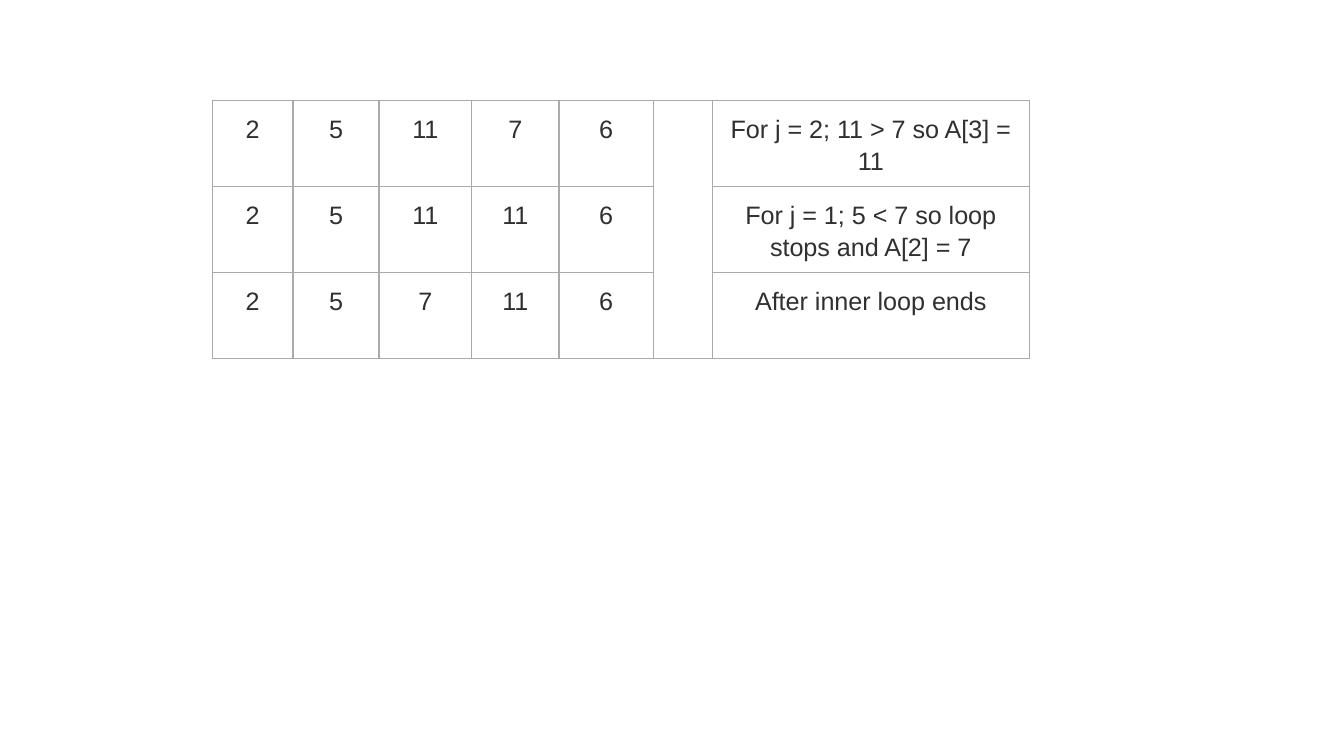
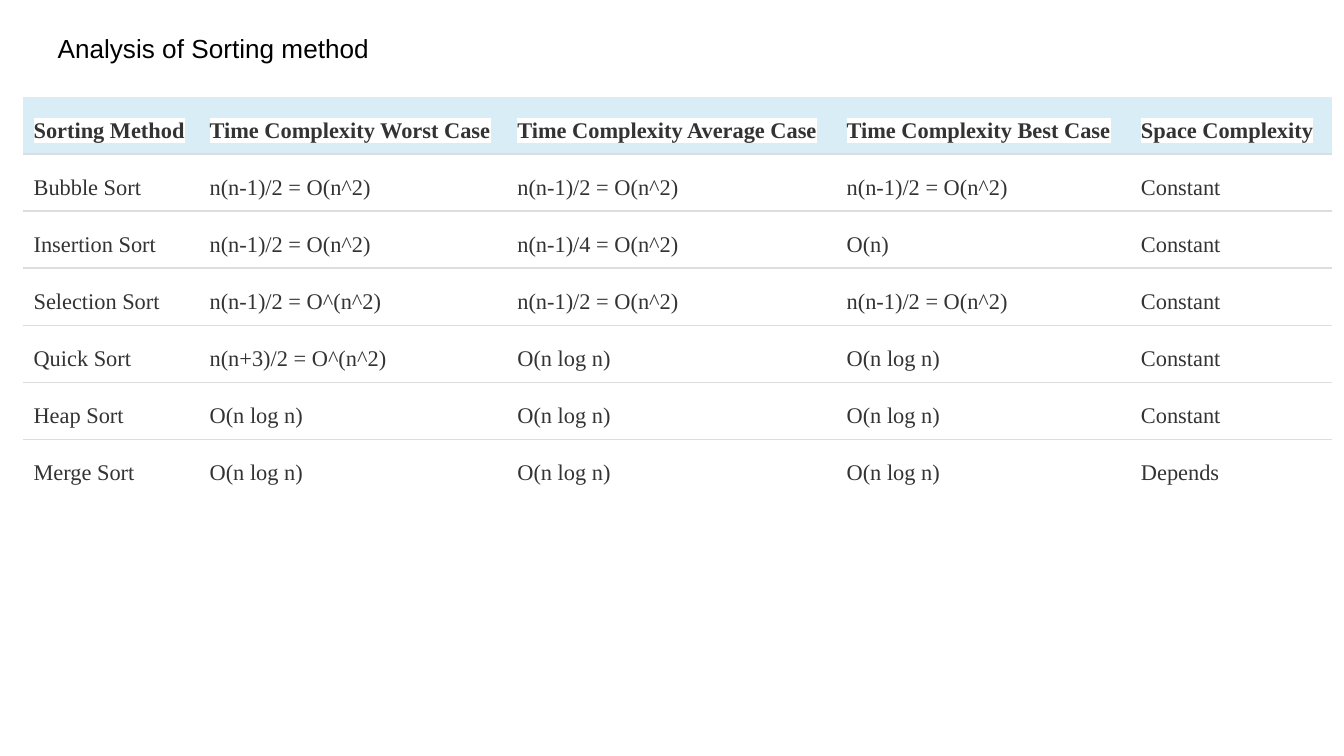
"""Build two slides on sorting: an insertion step trace and a complexity table."""
from pptx import Presentation
from pptx.dml.color import RGBColor
from pptx.enum.text import MSO_ANCHOR, PP_ALIGN
from pptx.oxml import parse_xml
from pptx.oxml.ns import nsdecls, qn
from pptx.util import Inches, Pt

COLORS = {
    "white": "FFFFFF", "black": "000000", "trace_text": "303030", "trace_line": "AAAAAA",
    "text": "333333", "line": "DDDDDD", "header": "D9EDF7",
}

TRACE_COLUMNS = [0.6, 0.64, 0.69, 0.65, 0.7, 0.44, 2.36]
TRACE_GAP = 5
TRACE_ROWS = [
    ("2", "5", "11", "7", "6", "", "For j = 2; 11 > 7 so A[3] = 11"),
    ("2", "5", "11", "11", "6", "", "For j = 1; 5 < 7 so loop stops and A[2] = 7"),
    ("2", "5", "7", "11", "6", "", "After inner loop ends"),
]

TITLE = "Analysis of Sorting method"
SQUARE = "n(n-1)/2 = O(n^2)"
LOG = "O(n log n)"
METHOD_COLUMNS = [1.31, 2.29, 2.45, 2.19, 1.5]
METHOD_ROWS = [
    ("Sorting Method", "Time Complexity Worst Case", "Time Complexity Average Case",
     "Time Complexity Best Case", "Space Complexity"),
    ("Bubble Sort", SQUARE, SQUARE, SQUARE, "Constant"),
    ("Insertion Sort", SQUARE, "n(n-1)/4 = O(n^2)", "O(n)", "Constant"),
    ("Selection Sort", "n(n-1)/2 = O^(n^2)", SQUARE, SQUARE, "Constant"),
    ("Quick Sort", "n(n+3)/2 = O^(n^2)", LOG, LOG, "Constant"),
    ("Heap Sort", LOG, LOG, LOG, "Constant"),
    ("Merge Sort", LOG, LOG, LOG, "Depends"),
]


def style_font(font, name, size, color, bold=False):
    font.name, font.size, font.bold = name, Pt(size), bold
    font.color.rgb = RGBColor.from_string(COLORS[color])


def highlight(span, color):
    mark = parse_xml(f'<a:highlight {nsdecls("a")}><a:srgbClr val="{COLORS[color]}"/></a:highlight>')
    span.font._element.find(qn("a:latin")).addprevious(mark)


def set_borders(cell, color, widths):
    """Draw left, right, top and bottom borders; a width of 0 hides one."""
    properties = cell._tc.get_or_add_tcPr()
    for position, (side, width) in enumerate(zip("LRTB", widths)):
        paint = f'<a:solidFill><a:srgbClr val="{COLORS[color]}"/></a:solidFill>' if width else "<a:noFill/>"
        border = parse_xml(f'<a:ln{side} {nsdecls("a")} w="{Pt(width)}">{paint}</a:ln{side}>')
        properties.insert(position, border)


def set_fill(cell, color):
    if color:
        cell.fill.solid()
        cell.fill.fore_color.rgb = RGBColor.from_string(COLORS[color])
    else:
        cell.fill.background()


def add_grid(page, left, top, columns, heights, rows):
    """Add a plain table and fill in its words."""
    frame = page.shapes.add_table(len(rows), len(columns), Inches(left), Inches(top),
                                  Inches(sum(columns)), Inches(sum(heights)))
    table = frame.table
    table.first_row = table.horz_banding = False
    for column, width in zip(table.columns, columns):
        column.width = Inches(width)
    for row, height, words in zip(table.rows, heights, rows):
        row.height = Inches(height)
        for cell, word in zip(row.cells, words):
            cell.text_frame.text = word
    return table


def style_cell(cell, side_margin, align, spacing, after, font):
    cell.margin_left = cell.margin_right = Inches(side_margin)
    cell.margin_top = cell.margin_bottom = Inches(0.08)
    para = cell.text_frame.paragraphs[0]
    para.alignment, para.line_spacing, para.space_after = align, spacing, Pt(after)
    for span in para.runs:
        style_font(span.font, *font)
        highlight(span, "white")


def build_trace(page):
    table = add_grid(page, 1.58, 0.75, TRACE_COLUMNS, [0.64] * len(TRACE_ROWS), TRACE_ROWS)
    for cell in table.iter_cells():
        style_cell(cell, 0.1, PP_ALIGN.CENTER, 1.15, 0, ("Arial", 13.5, "trace_text"))
        set_fill(cell, "white")
        set_borders(cell, "trace_line", [0.75] * 4)
    table.cell(0, TRACE_GAP).merge(table.cell(len(TRACE_ROWS) - 1, TRACE_GAP))


def build_analysis(page):
    heights = [0.39] * (len(METHOD_ROWS) - 1) + [0.58]
    table = add_grid(page, 0.17, 0.72, METHOD_COLUMNS, heights, METHOD_ROWS)
    rules = [0, 1.5] + [0.75] * (len(METHOD_ROWS) - 2) + [0]
    for index, row in enumerate(table.rows):
        header = index == 0
        for cell in row.cells:
            style_cell(cell, 0.08, PP_ALIGN.LEFT if header else PP_ALIGN.JUSTIFY, 1.43, 15,
                       ("Times New Roman", 12, "text", header))
            cell.vertical_anchor = MSO_ANCHOR.BOTTOM if header else MSO_ANCHOR.TOP
            set_fill(cell, "header" if header else None)
            set_borders(cell, "line", [0, 0, rules[index], rules[index + 1]])

    box = page.shapes.add_textbox(Inches(0.33), Inches(0.14), Inches(3.88), Inches(0.44))
    frame = box.text_frame
    frame.word_wrap = True
    frame.margin_left = frame.margin_right = frame.margin_top = frame.margin_bottom = Inches(0.1)
    frame.text = TITLE
    style_font(frame.paragraphs[0].runs[0].font, "Arial", 14, "black")


def main():
    deck = Presentation()
    deck.slide_width = Inches(10)
    deck.slide_height = deck.slide_width * 9 // 16
    for build in (build_trace, build_analysis):
        build(deck.slides.add_slide(deck.slide_layouts[6]))
    deck.save("out.pptx")


if __name__ == "__main__":
    main()
